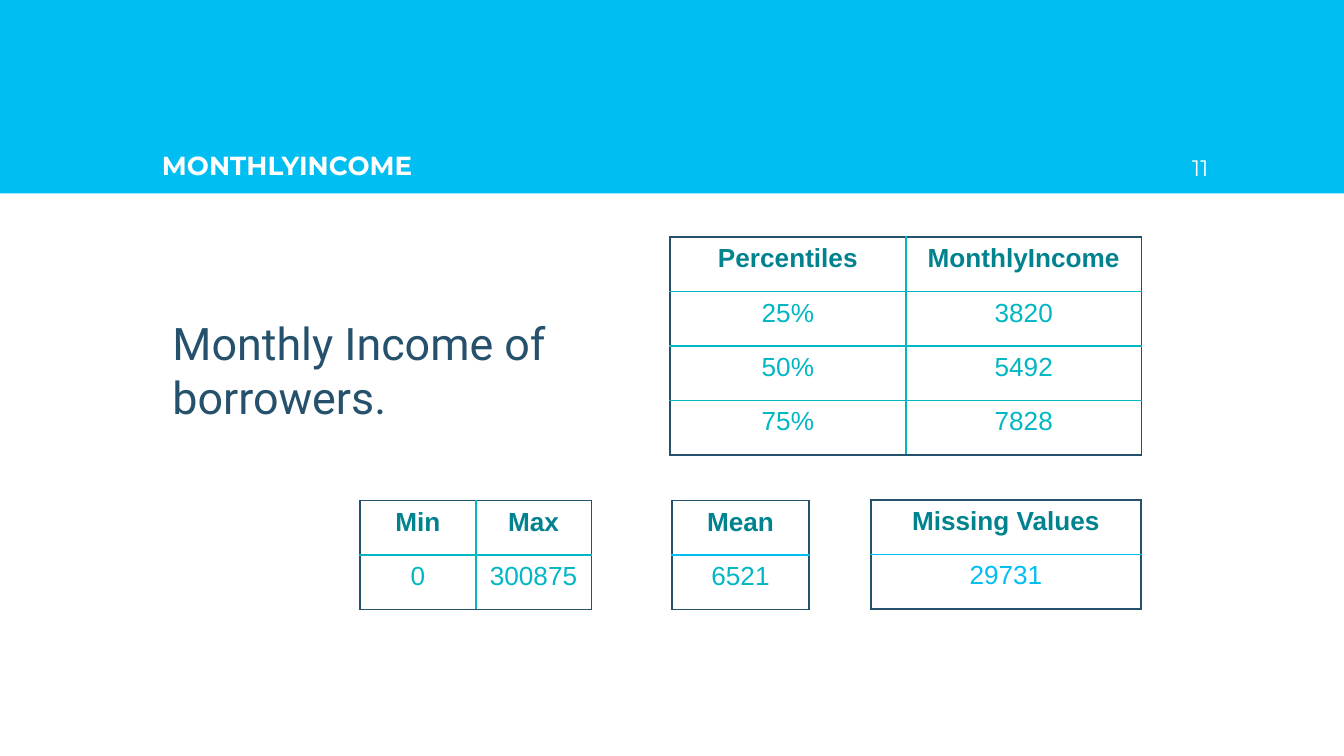
from lxml import etree
from pptx import Presentation
from pptx import util as u
from pptx.dml.color import RGBColor
from pptx.enum import shapes, text
from pptx.oxml.ns import qn

PX = 4572
SKY = RGBColor(0x00, 0xBE, 0xF2)
NAVY = RGBColor(0x25, 0x51, 0x6C)
TEAL = RGBColor(0x00, 0xB7, 0xC3)
DARK_TEAL = RGBColor(0x00, 0x83, 0x8F)
WHITE = RGBColor(0xFF, 0xFF, 0xFF)


def px(*lengths):
    return [u.Emu(length * PX) for length in lengths]


def add_run(paragraph, words, font, size, color, bold=False):
    run = paragraph.add_run()
    run.text = words
    run.font.name = font
    run.font.size = u.Pt(size)
    run.font.color.rgb = color
    run.font.bold = bold


def format_frame(shape, anchor, alignment):
    frame = shape.text_frame
    frame.word_wrap = True
    frame.auto_size = text.MSO_AUTO_SIZE.NONE
    frame.vertical_anchor = anchor
    frame.margin_left, frame.margin_top, frame.margin_right, frame.margin_bottom = px(20, 20, 20, 20)
    paragraph = frame.paragraphs[0]
    paragraph.alignment = alignment
    return paragraph


def add_band(slide):
    band = slide.shapes.add_shape(shapes.MSO_SHAPE.RECTANGLE, *px(0, 0, 2000, 288))
    band.shadow.inherit = False
    band.fill.solid()
    band.fill.fore_color.rgb = SKY
    band.line.fill.background()
    slide.shapes._spTree.insert(2, band._element)


def add_title(slide, words):
    title = slide.shapes.title
    title.left, title.top, title.width, title.height = px(221, 143, 1560, 146)
    paragraph = format_frame(title, text.MSO_ANCHOR.BOTTOM, text.PP_ALIGN.LEFT)
    add_run(paragraph, words, "Montserrat", 14, WHITE, True)


def add_text(slide, box, anchor, alignment, words, font, size, color):
    shape = slide.shapes.add_textbox(*px(*box))
    paragraph = format_frame(shape, anchor, alignment)
    add_run(paragraph, words, font, size, color)
    return paragraph


def set_border(cell, side, color):
    properties = cell._tc.get_or_add_tcPr()
    line = etree.SubElement(properties, qn("a:ln" + side), w=str(u.Pt(1)))
    fill = etree.SubElement(line, qn("a:solidFill"))
    etree.SubElement(fill, qn("a:srgbClr"), val=str(color))


def add_table(slide, box, rows, inner=TEAL, value_color=TEAL):
    last_row, last_column = len(rows) - 1, len(rows[0]) - 1
    table = slide.shapes.add_table(len(rows), len(rows[0]), *px(*box)).table
    table.first_row = False
    table.horz_banding = False
    for r, row in enumerate(rows):
        for c, words in enumerate(row):
            cell = table.cell(r, c)
            outer_sides = {"L": c == 0, "R": c == last_column, "T": r == 0, "B": r == last_row}
            for side, is_outer in outer_sides.items():
                set_border(cell, side, NAVY if is_outer else inner)
            cell.fill.background()
            paragraph = cell.text_frame.paragraphs[0]
            paragraph.alignment = text.PP_ALIGN.CENTER
            is_header = r == 0
            add_run(paragraph, words, "Arial", 14, DARK_TEAL if is_header else value_color, is_header)


def main():
    presentation = Presentation()
    presentation.slide_width, presentation.slide_height = px(2000, 1125)
    slide = presentation.slides.add_slide(presentation.slide_layouts[5])

    add_band(slide)
    add_title(slide, "MONTHLYINCOME")
    add_text(slide, (1698, 143, 120, 146), text.MSO_ANCHOR.BOTTOM, text.PP_ALIGN.RIGHT,
             "11", "Montserrat", 12, WHITE)
    description = add_text(slide, (221, 450, 622, 226), text.MSO_ANCHOR.TOP, text.PP_ALIGN.LEFT,
                           "Monthly Income of borrowers.", "Roboto", 24, NAVY)
    description.space_before = u.Pt(6)
    description._p.get_or_add_pPr().set("marL", str(16 * PX))

    add_table(slide, (536, 745, 344, 162), [("Min", "Max"), ("0", "300875")])
    add_table(slide, (997, 353, 702, 324),
              [("Percentiles", "MonthlyIncome"), ("25%", "3820"), ("50%", "5492"), ("75%", "7828")])
    add_table(slide, (1296, 744, 402, 162), [("Missing Values",), ("29731",)], SKY, SKY)
    add_table(slide, (1000, 745, 204, 162), [("Mean",), ("6521",)], SKY)

    presentation.save("out.pptx")


if __name__ == "__main__":
    main()
